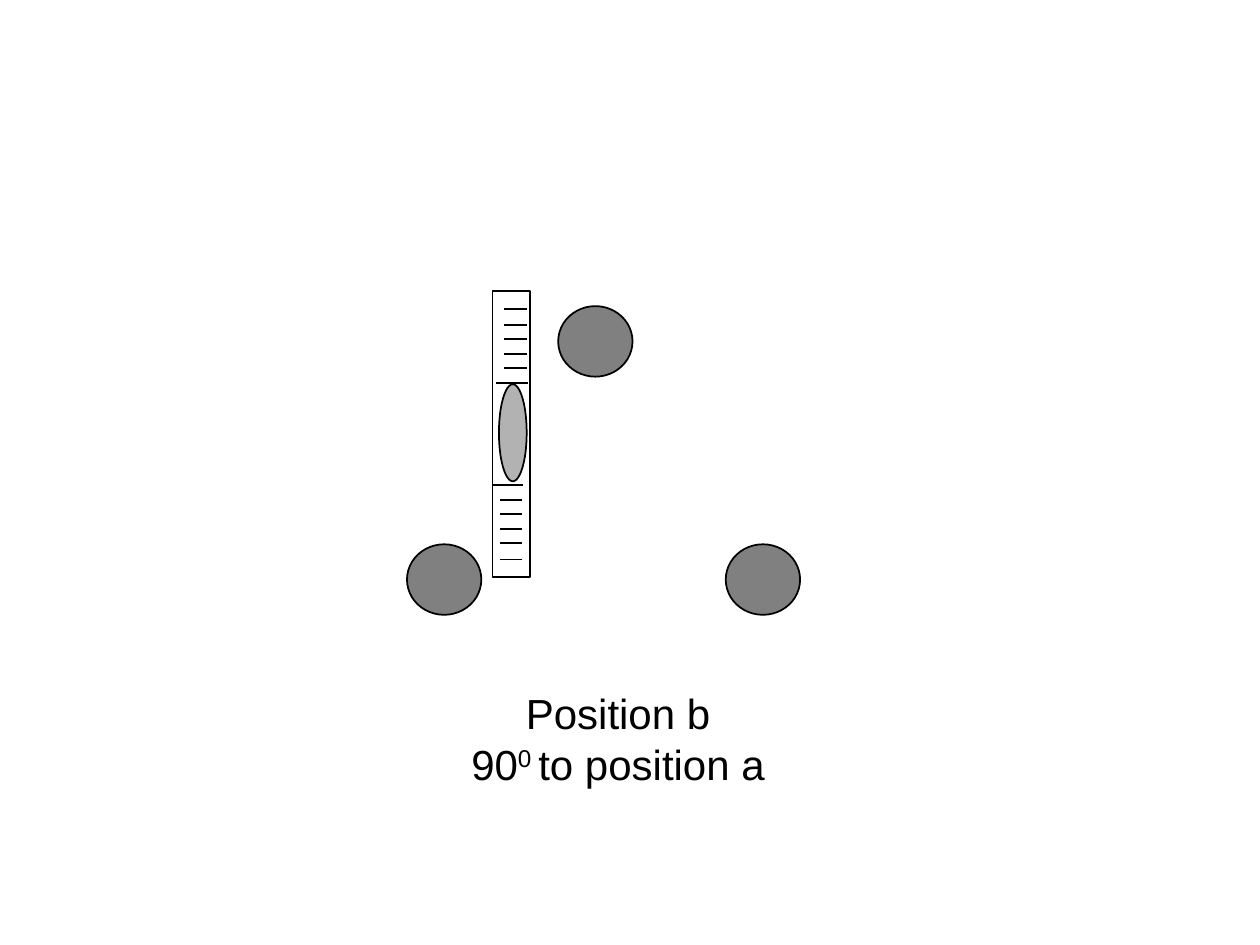
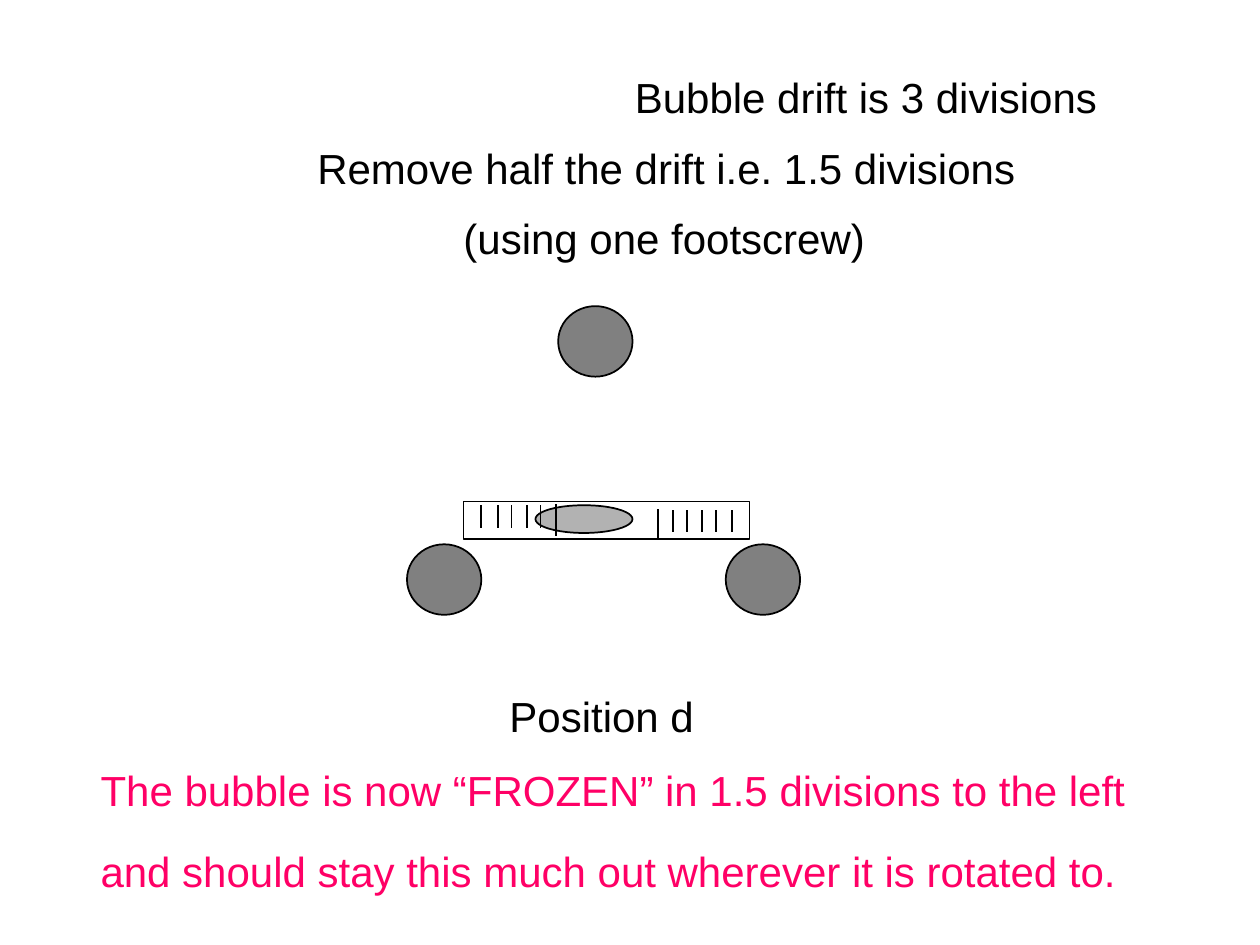
from pptx import Presentation
from pptx.dml.color import RGBColor
from pptx.enum.shapes import MSO_CONNECTOR as Connector, MSO_SHAPE as Shape
from pptx.enum.text import MSO_ANCHOR as Anchor, MSO_AUTO_SIZE as AutoSize, PP_ALIGN as Align
from pptx.util import Inches, Pt
from pptx.oxml.ns import qn
from lxml import etree

# The slide is a grid of 10 columns by 7.5 rows of square cells.
CELL = Inches(1)
COLUMNS, ROWS = 10, 7.5

BLACK = RGBColor(0x00, 0x00, 0x00)
WHITE = RGBColor(0xFF, 0xFF, 0xFF)
SCREW_GREY = RGBColor(0x80, 0x80, 0x80)
BUBBLE_GREY = RGBColor(0xB2, 0xB2, 0xB2)
PINK = RGBColor(0xFF, 0x00, 0x66)
FONT, TEXT_SIZE, LINE_WIDTH = "Arial", Pt(24), Pt(1)

FOOTSCREWS = ((3.23, 4.32), (5.76, 4.32), (4.43, 2.43))
SCREW_WIDTH, SCREW_HEIGHT = 0.59, 0.56

VIAL_LENGTH, VIAL_WIDTH = 2.27, 0.3
BUBBLE_LENGTH, BUBBLE_WIDTH, BUBBLE_INSET = 0.77, 0.22, 0.05
DIVISIONS = (0.14, 0.27, 0.38, 0.5, 0.61)
LAST_DIVISION = 0.73


def cells(*counts):
    return [int(count * CELL) for count in counts]


def add_outlined(page, kind, area, fill):
    shape = page.shapes.add_shape(kind, *cells(*area))
    shape.shadow.inherit = False
    shape.fill.solid()
    shape.fill.fore_color.rgb = fill
    shape.line.color.rgb = BLACK
    shape.line.width = LINE_WIDTH


def add_line(page, start, end):
    line = page.shapes.add_connector(Connector.STRAIGHT, *cells(*start, *end))
    line.line.color.rgb = BLACK
    line.line.width = LINE_WIDTH
    etree.SubElement(line._element.spPr, qn("a:effectLst"))


def add_footscrews(page):
    for left, top in FOOTSCREWS:
        add_outlined(page, Shape.OVAL, (left, top, SCREW_WIDTH, SCREW_HEIGHT), SCREW_GREY)


def add_vial(page, left, top, bubble_start, upright):
    """Draw the bubble tube; lying down, it is the upright one turned a quarter."""

    def point(along, across):
        if upright:
            return left + across, top + along
        return left + along, top + VIAL_WIDTH - across

    def area(along, across, length, width):
        if upright:
            return (*point(along, across), width, length)
        return (*point(along, across + width), length, width)

    add_outlined(page, Shape.RECTANGLE, area(0, 0, VIAL_LENGTH, VIAL_WIDTH), WHITE)
    bubble = area(bubble_start, BUBBLE_INSET, BUBBLE_LENGTH, BUBBLE_WIDTH)
    add_outlined(page, Shape.OVAL, bubble, BUBBLE_GREY)

    def add_scale(offsets, near, far):
        for along in offsets:
            add_line(page, point(along, near), point(along, far))

    add_scale(DIVISIONS, 0.09, 0.27)
    add_scale([LAST_DIVISION], 0.03, 0.28)
    add_scale([VIAL_LENGTH - offset for offset in DIVISIONS], 0.06, 0.23)
    add_scale([VIAL_LENGTH - LAST_DIVISION], 0, 0.24)


def format_text(box, color, align):
    frame = box.text_frame
    frame.auto_size = AutoSize.NONE
    frame.word_wrap = False
    frame.vertical_anchor = Anchor.TOP
    for para in frame.paragraphs:
        para.alignment = align
        para.font.name = FONT
        para.font.size = TEXT_SIZE
        para.font.color.rgb = color


def add_note(page, text, left, top, width, color=BLACK):
    box = page.shapes.add_textbox(*cells(left, top, width, 0.5))
    box.text_frame.text = text
    format_text(box, color, Align.LEFT)


def set_caption(page, area, *lines):
    """Fill the title with lines, each a list of (text, raised) spans."""
    title = page.shapes.title
    title.left, title.top, title.width, title.height = cells(*area)
    frame = title.text_frame
    for number, spans in enumerate(lines):
        para = frame.add_paragraph() if number else frame.paragraphs[0]
        for text, raised in spans:
            span = para.add_run()
            span.text = text
            if raised:
                span._r.get_or_add_rPr().set("baseline", "30000")
    format_text(title, BLACK, Align.CENTER)


def add_page(deck):
    page = deck.slides.add_slide(deck.slide_layouts.get_by_name("Title Only"))
    add_footscrews(page)
    return page


def add_position_b(deck):
    page = add_page(deck)
    add_vial(page, 3.91, 2.31, bubble_start=0.74, upright=True)
    set_caption(page, (3.64, 5.41, 2.53, 0.9),
                [("Position b", False)],
                [("90", False), ("0 ", True), ("to position a", False)])


def add_position_d(deck):
    page = add_page(deck)
    add_vial(page, 3.68, 3.98, bubble_start=0.57, upright=False)
    set_caption(page, (3.94, 5.43, 1.67, 0.5), [("Position d", False)])
    add_note(page, "Bubble drift is 3 divisions", 4.94, 0.52, 3.87)
    add_note(page, "Remove half the drift i.e. 1.5 divisions", 2.42, 1.08, 5.74)
    add_note(page, "(using one footscrew)", 3.58, 1.64, 3.39)
    add_note(page, "The bubble is now “FROZEN” in 1.5 divisions to the left",
             0.7, 6.02, 8.34, PINK)
    add_note(page, "and should stay this much out wherever it is rotated to.",
             0.7, 6.66, 8.26, PINK)


def main():
    deck = Presentation()
    deck.slide_width, deck.slide_height = cells(COLUMNS, ROWS)
    add_position_b(deck)
    add_position_d(deck)
    deck.save("out.pptx")


if __name__ == "__main__":
    main()
